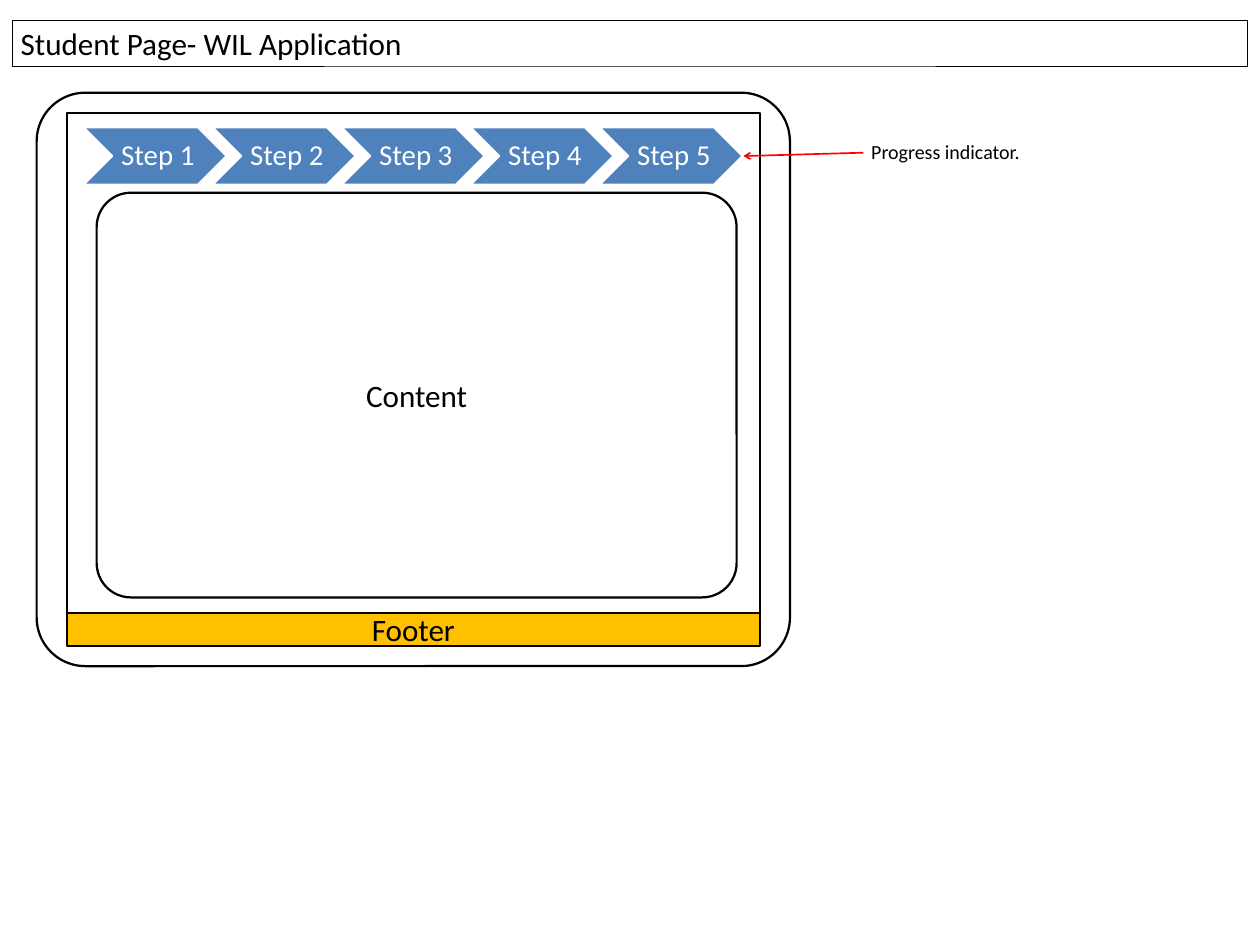
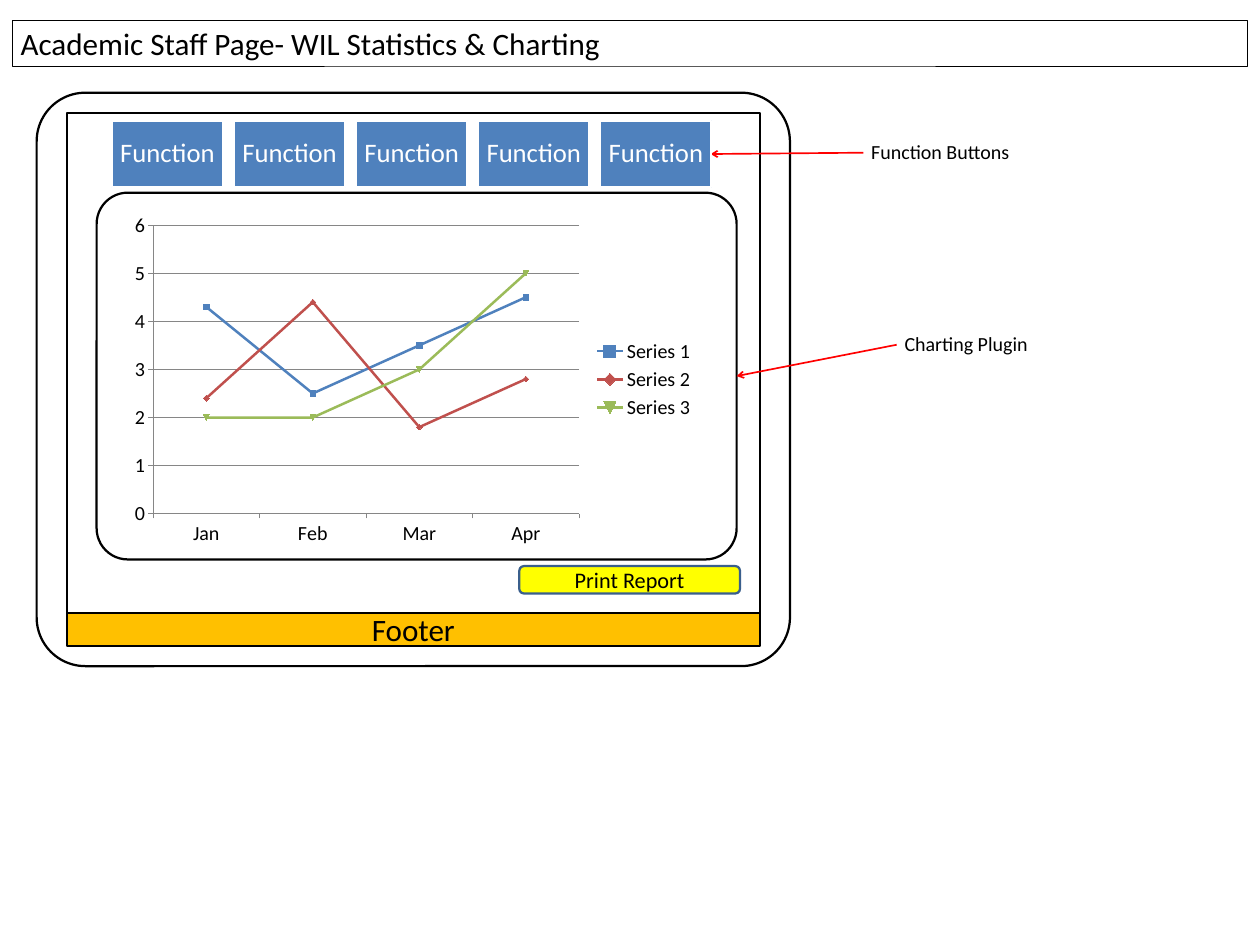
from lxml.etree import SubElement
from pptx import Presentation
from pptx.chart.data import CategoryChartData
from pptx.dml.color import RGBColor
from pptx.enum.chart import XL_CHART_TYPE as ChartType, XL_LEGEND_POSITION as LegendPosition
from pptx.enum.chart import XL_TICK_MARK as TickMark
from pptx.enum.shapes import MSO_CONNECTOR as Connector, MSO_SHAPE as Shape
from pptx.enum.text import MSO_ANCHOR as Anchor, MSO_AUTO_SIZE as AutoSize, PP_ALIGN as Align
from pptx.oxml.ns import qn
from pptx.util import Inches, Pt

SLIDE_WIDTH, SLIDE_HEIGHT = Inches(15.75), Inches(11.81)
COLUMNS = 189
CELL = SLIDE_WIDTH / COLUMNS
FONT = "Calibri"
BLACK, WHITE, RED, GREY = "000000", "FFFFFF", "FF0000", "868686"
BLUE, BRICK, GREEN = "4F81BD", "C0504D", "9BBB59"
AMBER, YELLOW, NAVY = "FFC000", "FFFF00", "3A5F8C"
CORNER = 0.085
STEP_COUNT = 5
STEP_INSETS = (0.11, 0.04, 0.04, 0.04)
BUTTON_INSETS = (0.1, 0.1, 0.1, 0.1)


def cells(*counts):
    """Turn counts of grid cells into lengths."""
    return [round(count * CELL) for count in counts]


def color(hex_string):
    """Turn a hex string into a colour."""
    return RGBColor.from_string(hex_string)


def set_line(line, hex_string, width):
    """Give a line its colour and its width in points."""
    line.color.rgb = color(hex_string)
    line.width = Pt(width)


def write(shape, text, size, text_color=BLACK, align=Align.CENTER):
    """Write one formatted run into a shape and return its paragraph."""
    paragraph = shape.text_frame.paragraphs[0]
    paragraph.alignment = align
    run = paragraph.add_run()
    run.text = text
    run.font.name = FONT
    run.font.size = Pt(size)
    run.font.color.rgb = color(text_color)
    return paragraph


def add_box(slide, kind, box, fill=None, line=BLACK, corner=None):
    """Add a preset shape on the grid."""
    shape = slide.shapes.add_shape(kind, *cells(*box))
    shape.shadow.inherit = False
    if fill:
        shape.fill.solid()
        shape.fill.fore_color.rgb = color(fill)
    else:
        shape.fill.background()
    set_line(shape.line, line, 2)
    if corner:
        shape.adjustments[0] = corner
    shape.text_frame.vertical_anchor = Anchor.MIDDLE
    return shape


def set_opacity(shape, percent):
    """Make a solid fill partly transparent."""
    fill_color = shape._element.spPr.find(qn("a:solidFill"))[0]
    SubElement(fill_color, qn("a:alpha")).set("val", str(percent * 1000))


def add_title(slide, text):
    """Format the title placeholder as an outlined band."""
    title = slide.shapes.title
    title.left, title.top, title.width, title.height = cells(1.9, 3, 185.2, 6.9)
    set_line(title.line, BLACK, 0.75)
    title.text_frame.auto_size = AutoSize.NONE
    title.text_frame.vertical_anchor = Anchor.TOP
    write(title, text, 28, align=Align.LEFT)


def add_page(presentation, title):
    """Add a slide with its title, page frame and footer."""
    slide = presentation.slides.add_slide(presentation.slide_layouts.get_by_name("Title Only"))
    add_box(slide, Shape.ROUNDED_RECTANGLE, (5.5, 13.9, 113, 86), corner=CORNER)
    add_box(slide, Shape.RECTANGLE, (10, 16.9, 104, 75))
    write(add_box(slide, Shape.RECTANGLE, (10, 91.9, 104, 5), AMBER), "Footer", 28)
    add_title(slide, title)
    return slide


def add_callout(slide, text, start, end, width):
    """Add a label with a red arrow from its left edge to a target."""
    arrow = slide.shapes.add_connector(Connector.STRAIGHT, *cells(*start, *end))
    set_line(arrow.line, RED, 1.5)
    properties = arrow._element.spPr
    SubElement(properties.find(qn("a:ln")), qn("a:tailEnd")).set("type", "arrow")
    SubElement(properties, qn("a:effectLst"))
    left, middle = start
    label = slide.shapes.add_textbox(*cells(left, middle - 2.5, width, 4.8))
    label.text_frame.word_wrap = False
    write(label, text, 18, align=Align.LEFT)


def add_row(slide, kind, labels, first_box, pitch, size, insets):
    """Add a row of equal blue shapes, a pitch times their width apart."""
    left, top, width, height = first_box
    for index, text in enumerate(labels):
        box = (left + index * pitch * width, top, width, height)
        shape = add_box(slide, kind, box, BLUE, WHITE)
        frame = shape.text_frame
        (frame.margin_left, frame.margin_top,
         frame.margin_right, frame.margin_bottom) = map(Inches, insets)
        write(shape, text, size, WHITE).line_spacing = 0.9


def format_axis(axis):
    """Give a chart axis its grey line and outer ticks."""
    set_line(axis.format.line, GREY, 0.75)
    axis.major_tick_mark = TickMark.OUTSIDE
    axis.minor_tick_mark = TickMark.NONE


def add_line_chart(slide, box, categories, series_values):
    """Add a line chart with markers and a legend at the right."""
    data = CategoryChartData()
    data.categories = categories
    for name, values in series_values.items():
        data.add_series(name, values)
    chart = slide.shapes.add_chart(ChartType.LINE_MARKERS, *cells(*box), data).chart
    chart.has_title = False
    chart.font.name, chart.font.size = FONT, Pt(18)
    chart.font.color.rgb = color(BLACK)
    chart.has_legend = True
    chart.legend.position = LegendPosition.RIGHT
    chart.legend.include_in_layout = False
    format_axis(chart.category_axis)
    format_axis(chart.value_axis)
    chart.value_axis.minimum_scale, chart.value_axis.maximum_scale = 0, 6
    chart.value_axis.major_unit = 1
    set_line(chart.value_axis.major_gridlines.format.line, GREY, 0.75)
    plot = chart.plots[0]
    plot.vary_by_categories = False
    for series, hex_string in zip(plot.series, (BLUE, BRICK, GREEN)):
        series.smooth = False
        set_line(series.format.line, hex_string, 2.25)
        series.marker.format.fill.solid()
        series.marker.format.fill.fore_color.rgb = color(hex_string)
        set_line(series.marker.format.line, hex_string, 0.75)


def build_application(presentation):
    """Build the student page with its progress steps."""
    slide = add_page(presentation, "Student Page- WIL Application")
    content = add_box(slide, Shape.ROUNDED_RECTANGLE, (14.5, 28.9, 96, 60.7), WHITE, corner=CORNER)
    set_opacity(content, 90)
    write(content, "Content", 28)
    add_callout(slide, "Progress indicator.", (129.5, 22.9), (111.5, 23.4), 25)
    steps = [f"Step {number}" for number in range(1, STEP_COUNT + 1)]
    add_row(slide, Shape.CHEVRON, steps, (12.5, 19.1, 21.5, 8.6), 0.9, 26, STEP_INSETS)


def build_statistics(presentation):
    """Build the staff page with its buttons and chart."""
    slide = add_page(presentation, "Academic Staff Page- WIL Statistics & Charting")
    add_callout(slide, "Function Buttons", (129.5, 22.9), (106.6, 23.1), 23.4)
    add_line_chart(slide, (18.5, 30.9, 87, 52), ("Jan", "Feb", "Mar", "Apr"), {
        "Series 1": (4.3, 2.5, 3.5, 4.5),
        "Series 2": (2.4, 4.4, 1.8, 2.8),
        "Series 3": (2, 2, 3, 5),
    })
    print_button = add_box(slide, Shape.ROUNDED_RECTANGLE, (77.9, 84.9, 33.1, 4.1), YELLOW, NAVY)
    write(print_button, "Print Report", 20)
    add_row(slide, Shape.RECTANGLE, ["Function"] * STEP_COUNT, (16.8, 18.1, 16.65, 10),
            1.1, 24, BUTTON_INSETS)
    add_box(slide, Shape.ROUNDED_RECTANGLE, (14.5, 28.9, 96, 55), corner=CORNER)
    add_callout(slide, "Charting Plugin", (134.5, 51.7), (110.5, 56.4), 21.1)


def main():
    """Build and save the presentation."""
    presentation = Presentation()
    presentation.slide_width, presentation.slide_height = SLIDE_WIDTH, SLIDE_HEIGHT
    build_application(presentation)
    build_statistics(presentation)
    presentation.save("out.pptx")


if __name__ == "__main__":
    main()
